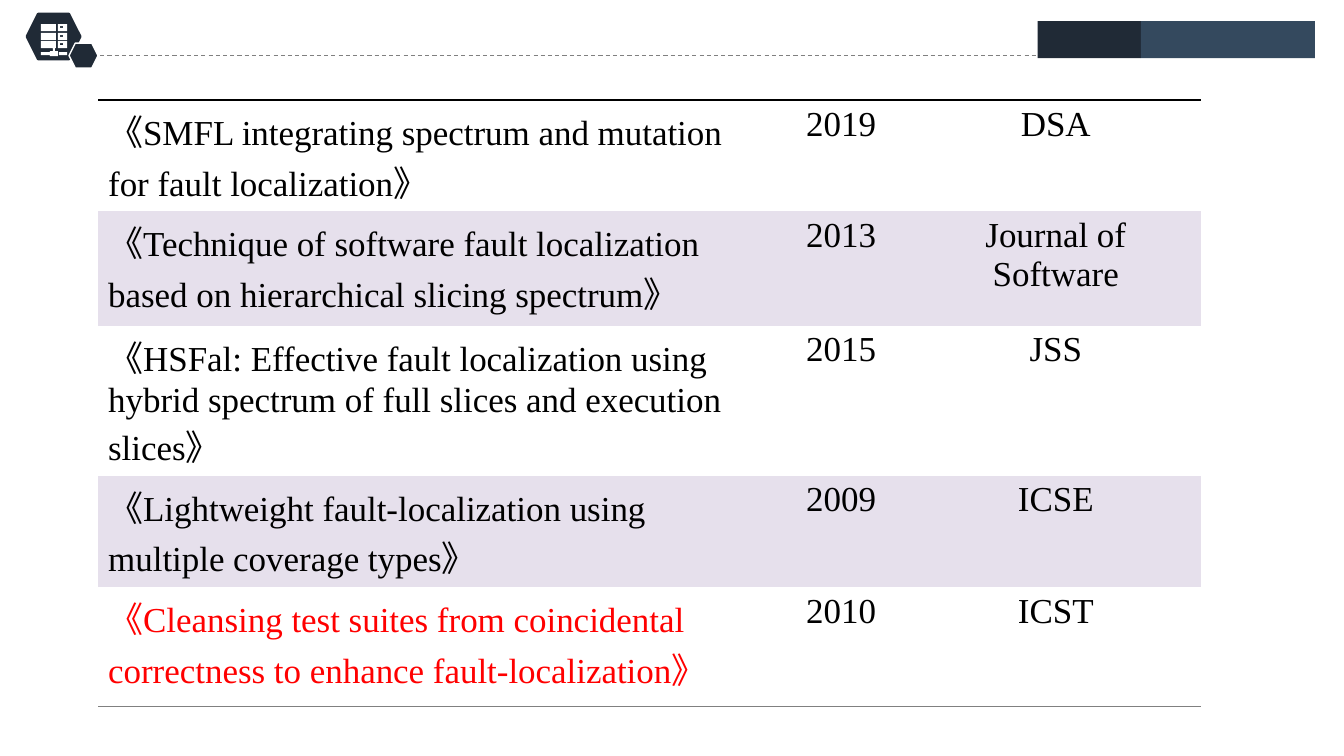
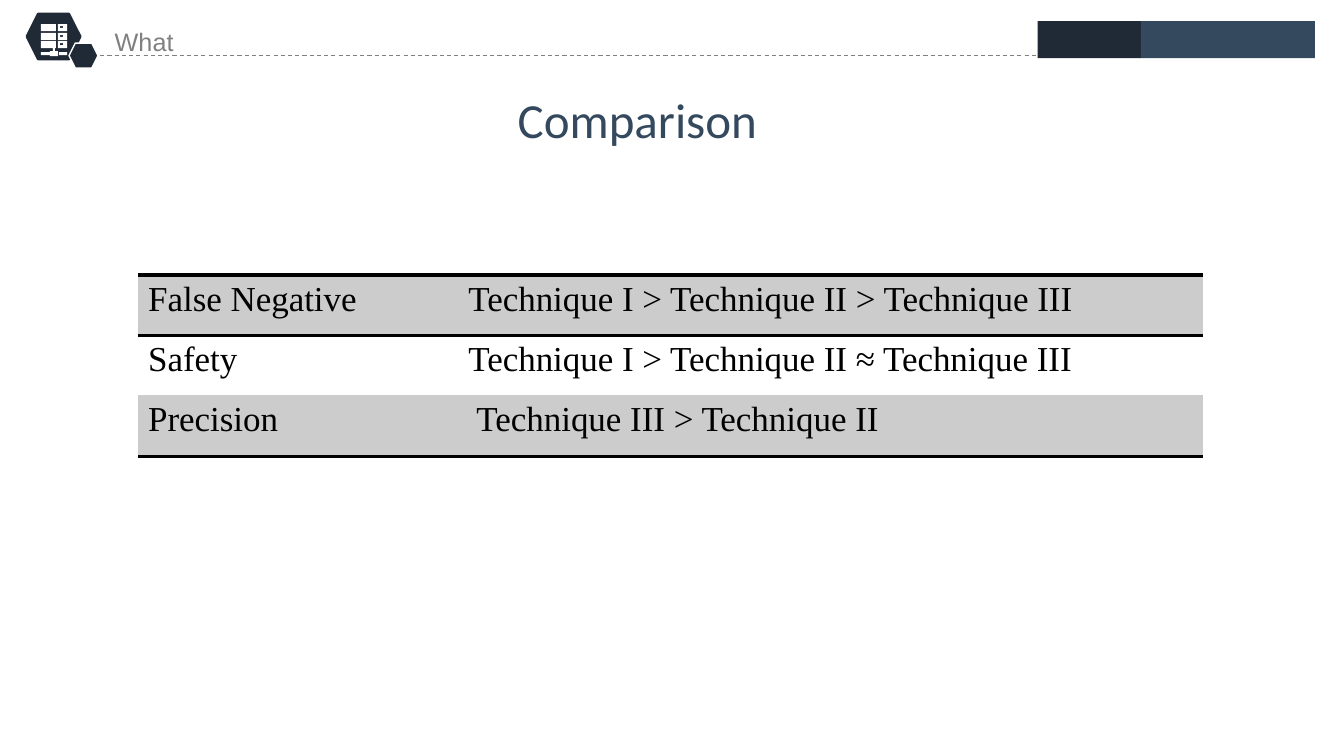
import pptx
import pptx.util
import pptx.dml.color
import pptx.enum.dml
import pptx.enum.shapes
import pptx.enum.text
import pptx.oxml.ns
import lxml.etree

RGB = pptx.dml.color.RGBColor
MSO = pptx.enum.shapes.MSO_SHAPE
ALIGN = pptx.enum.text.PP_ALIGN
Pt = pptx.util.Pt
qn = pptx.oxml.ns.qn

SCALE = 914400 / 100.7
NAVY = RGB(0x20, 0x2A, 0x36)
SLATE = RGB(0x34, 0x49, 0x5E)
GREY = RGB(0x80, 0x80, 0x80)
WHITE = RGB(0xFF, 0xFF, 0xFF)
BLACK = RGB(0, 0, 0)
RED = RGB(0xFF, 0, 0)
LILAC = RGB(0xE6, 0xE0, 0xEC)
SILVER = RGB(0xCC, 0xCC, 0xCC)
SERIF = "Times New Roman"
NO_STYLE = "{2D5ABB26-0587-4C30-8999-92F81FD0307C}"

PAPERS = [
    ("《SMFL integrating spectrum and mutation for fault localization》",
     "2019", "DSA"),
    ("《Technique of software fault localization based on hierarchical "
     "slicing spectrum》", "2013", "Journal of Software"),
    ("《HSFal: Effective fault localization using hybrid spectrum of full "
     "slices and execution slices》", "2015", "JSS"),
    ("《Lightweight fault-localization using multiple coverage types》",
     "2009", "ICSE"),
    ("《Cleansing test suites from coincidental correctness to enhance "
     "fault-localization》", "2010", "ICST"),
]
RANKS = [
    ("", ""),
    ("False Negative", "Technique I > Technique II > Technique III"),
    ("Safety", "Technique I > Technique II ≈ Technique III"),
    ("Precision", " Technique III > Technique II"),
]


def px(n):
    return pptx.util.Emu(round(n * SCALE))


def place(box):
    return [px(n) for n in box]


def paint(shape, fill, line=None, width=1):
    shape.shadow.inherit = False
    shape.fill.solid()
    shape.fill.fore_color.rgb = fill
    if line is None:
        shape.line.fill.background()
    else:
        shape.line.color.rgb = line
        shape.line.width = Pt(width)


def style(para, size, name, color, align=ALIGN.LEFT):
    para.alignment = align
    para.font.size = Pt(size)
    para.font.name = name
    para.font.color.rgb = color


def server(slide, x, y):
    """Server icon, drawn as one outline made of small boxes."""
    parts = []
    for top in (0, 9, 17):
        parts += [(0, top, 15, 7), (17, top, 9, 7), (19, top + 2, 3, 2)]
    parts += [(0, 28, 9, 3), (9, 27, 8, 5), (12, 24, 2, 3), (18, 28, 8, 3)]
    pen = slide.shapes.build_freeform(0, 0, SCALE)
    for left, top, w, h in parts:
        pen.move_to(left, top)
        pen.add_line_segments([(left + w, top), (left + w, top + h),
                               (left, top + h)], close=True)
    paint(pen.convert_to_shape(px(x), px(y)), WHITE)


def header(slide, x, y):
    """Badge, dashed rule and two bars along the top."""
    def add(kind, box, *look):
        left, top, w, h = box
        shape = slide.shapes.add_shape(kind, *place((x + left, y + top, w, h)))
        paint(shape, *look)

    add(MSO.HEXAGON, (0, 0, 53, 45), NAVY, NAVY, 2)
    rule = slide.shapes.add_connector(
        pptx.enum.shapes.MSO_CONNECTOR.STRAIGHT,
        *place((x + 66, y + 41, x + 1010, y + 41)))
    rule.line.color.rgb = GREY
    rule.line.width = Pt(0.75)
    rule.line.dash_style = pptx.enum.dml.MSO_LINE.DASH
    lxml.etree.SubElement(rule.element.spPr, qn("a:effectLst"))
    add(MSO.HEXAGON, (42, 29, 29, 25), NAVY, WHITE, 1)
    server(slide, x + 14, y + 10)
    add(MSO.RECTANGLE, (1010, 7, 103, 37), NAVY)
    add(MSO.RECTANGLE, (1113, 7, 174, 37), SLATE)


def border(cell, side, color=None, width=0):
    """Rule on one side of a cell, lnT or lnB; no colour means no rule."""
    props = cell._tc.get_or_add_tcPr()
    line = lxml.etree.Element(qn("a:" + side), w=str(Pt(width)))
    if color is None:
        lxml.etree.SubElement(line, qn("a:noFill"))
    else:
        fill = lxml.etree.SubElement(line, qn("a:solidFill"))
        lxml.etree.SubElement(fill, qn("a:srgbClr"), val=str(color))
    # Rules come before the fill, top before bottom
    props.insert(len(props.findall(qn("a:lnT"))), line)


def grid(slide, x, y, cols, rows, data, bands, rules, aligns):
    """Table; bands maps row to fill, rules lists (row, side, color, width)."""
    frame = slide.shapes.add_table(
        len(rows), len(cols), *place((x, y, sum(cols), sum(rows))))
    frame.element.find(".//" + qn("a:tableStyleId")).text = NO_STYLE
    table = frame.table
    table.first_row = table.horz_banding = False
    for col, w in zip(table.columns, cols):
        col.width = px(w)
    for i, (row, h) in enumerate(zip(table.rows, rows)):
        row.height = px(h)
        for cell, text, align in zip(row.cells, data[i], aligns):
            cell.text = text
            style(cell.text_frame.paragraphs[0], 25, SERIF, BLACK, align)
            if i in bands:
                cell.fill.solid()
                cell.fill.fore_color.rgb = bands[i]
            else:
                cell.fill.background()
            for at, *look in rules:
                if at == i:
                    border(cell, *look)
    return table


def papers(deck):
    slide = deck.slides.add_slide(deck.slide_layouts[6])
    header(slide, 27, 14)
    table = grid(
        slide, 98, 100, (673, 139, 290), (111, 114, 150, 111, 119), PAPERS,
        {1: LILAC, 3: LILAC},
        [(0, "lnT", BLACK, 1.5), (4, "lnB", GREY, 0.75)],
        (ALIGN.LEFT, ALIGN.CENTER, ALIGN.CENTER))
    # Highlighted paper
    table.cell(4, 0).text_frame.paragraphs[0].font.color.rgb = RED


def ranks(deck):
    slide = deck.slides.add_slide(deck.slide_layouts[5])
    header(slide, 27, 14)
    # Section label
    label = slide.shapes.add_textbox(*place((35, 6, 218, 55))).text_frame
    label.word_wrap = True
    label.text = "What"
    style(label.paragraphs[0], 18, "Arial", GREY, ALIGN.CENTER)
    label.paragraphs[0].line_spacing = 1.5
    # Title
    title = slide.shapes.title
    title.left, title.top, title.width, title.height = place(
        (295, 86, 684, 66))
    title.text = "Comparison"
    style(title.text_frame.paragraphs[0], 35, "Calibri", SLATE, ALIGN.CENTER)
    # Ranking of the techniques, under an open first row
    grid(slide, 138, 214, (320, 744), (61, 60, 60, 61), RANKS,
         {1: SILVER, 3: SILVER},
         [(0, "lnB", BLACK, 3), (1, "lnB", BLACK, 2), (2, "lnB"),
          (3, "lnT"), (3, "lnB", BLACK, 3)],
         (ALIGN.LEFT, ALIGN.LEFT))


def main():
    deck = pptx.Presentation()
    deck.slide_width, deck.slide_height = place((1343, 755))
    papers(deck)
    ranks(deck)
    deck.save("out.pptx")


if __name__ == "__main__":
    main()
